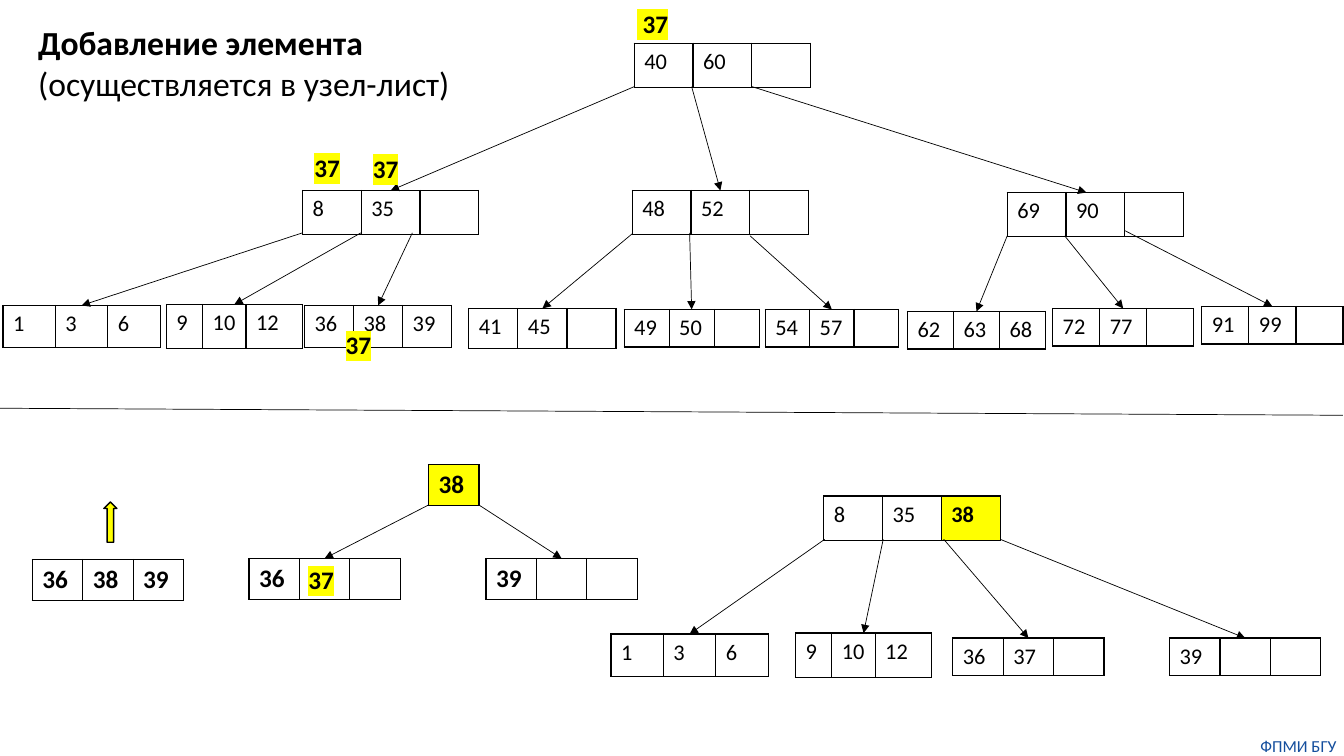
import pptx
import pptx.util
import pptx.dml.color
import pptx.enum.dml
import pptx.enum.shapes
import pptx.enum.text
import pptx.oxml
import pptx.oxml.ns
from lxml import etree

PX = 9144  # 100 px to the inch


class theme:
    font = "Calibri"
    ink = "000000"
    hot = "FFFF00"
    foot = "144E9D"
    title, mark, key, small = 24, 18, 16, 12
    thin, edge = 0.5, 1


qn = pptx.oxml.ns.qn
rgb = pptx.dml.color.RGBColor.from_string
Pt = pptx.util.Pt

deck = pptx.Presentation()
deck.slide_width, deck.slide_height = 1333 * PX, 750 * PX
slide = deck.slides.add_slide(deck.slide_layouts[6])
shapes = slide.shapes


def write(para, text, size, bold=False, color=theme.ink, glow=False):
    run = para.add_run()
    run.text = text
    run.font.size = Pt(size)
    run.font.bold = bold
    run.font.color.rgb = rgb(color)
    run.font.name = theme.font
    if glow:
        light = etree.Element(qn("a:highlight"))
        etree.SubElement(light, qn("a:srgbClr"), val=theme.hot)
        run.font.fill  # the highlight follows the fill, before the typeface
        run._r.rPr.find(qn("a:latin")).addprevious(light)


def link(start, end, arrow=True):
    line = shapes.add_connector(
        pptx.enum.shapes.MSO_CONNECTOR.STRAIGHT, *[int(v * PX) for v in (*start, *end)])
    line.line.color.rgb = rgb(theme.ink)
    line.line.width = Pt(theme.thin)
    if arrow:
        etree.SubElement(line.line._get_or_add_ln(), qn("a:tailEnd"), type="triangle")
    etree.SubElement(line._element.spPr, qn("a:effectLst"))


# Tree nodes: name, left, top, width (or column widths), height, keys, size, bold, hot cell
KEY, MARK = theme.key, theme.mark
nodes = [
    ("root", 629, 43, 175, 44, ("40", "60", ""), KEY, False, None),
    ("low", 300, 189, 175, 44, ("8", "35", ""), KEY, False, None),
    ("mid", 627, 189, 175, 44, ("48", "52", ""), KEY, False, None),
    ("high", 999, 191, 175, 44, ("69", "90", ""), KEY, False, None),
    ("1", 3, 303, 156, 42, ("1", "3", "6"), KEY, False, None),
    ("9", 165, 302, (36, 43, 56), 44, ("9", "10", "12"), KEY, False, None),
    ("36", 302, 303, 146, 42, ("36", "38", "39"), KEY, False, None),
    ("41", 465, 306, 146, 40, ("41", "45", ""), KEY, False, None),
    ("49", 619, 307, 134, 37, ("49", "50", ""), KEY, False, None),
    ("54", 759, 307, 132, 37, ("54", "57", ""), KEY, False, None),
    ("62", 900, 309, 137, 37, ("62", "63", "68"), KEY, False, None),
    ("72", 1044, 306, 140, 37, ("72", "77", ""), KEY, False, None),
    ("91", 1192, 304, 140, 37, ("91", "99", ""), KEY, False, None),
    ("full", 32, 555, 150, 40, ("36", "38", "39"), MARK, True, None),
    ("right", 482, 554, 150, 40, ("39", "", ""), MARK, True, None),
    ("left", 247, 554, 150, 40, ("36", "", ""), MARK, True, None),
    ("up", 425, 461, 50, 40, ("38",), MARK, True, 0),
    ("new 39", 1160, 633, 150, 37, ("39", "", ""), KEY, False, None),
    ("new 36", 945, 633, 150, 37, ("36", "37", ""), KEY, False, None),
    ("new low", 817, 492, 175, 44, ("8", "35", "38"), KEY, False, 2),
    ("new 9", 789, 628, (36, 43, 56), 44, ("9", "10", "12"), KEY, False, None),
    ("new 1", 606, 629, 156, 42, ("1", "3", "6"), KEY, False, None),
]
tops = {}  # top centre of each node
for name, left, top, wide, high, keys, size, bold, hot in nodes:
    cols = wide if isinstance(wide, tuple) else [wide / len(keys)] * len(keys)
    tops[name] = (left + sum(cols) / 2, top)
    frame = shapes.add_table(1, len(keys), left * PX, top * PX, int(sum(cols) * PX), high * PX)
    table = frame.table
    table.first_row = table.horz_banding = False
    table.rows[0].height = high * PX
    for i, key in enumerate(keys):
        table.columns[i].width = int(cols[i] * PX)
        cell = table.cell(0, i)
        para = cell.text_frame.paragraphs[0]
        if key:
            write(para, key, size, bold or i == hot)
        else:
            etree.SubElement(para._p, qn("a:endParaRPr"), sz=str(size * 100))
        if i == hot:
            cell.fill.solid()
            cell.fill.fore_color.rgb = rgb(theme.hot)
        else:
            cell.fill.background()
        for j, side in enumerate(("lnL", "lnR", "lnT", "lnB")):
            edge = etree.Element(qn("a:" + side), w=str(Pt(theme.edge)))
            fill = etree.SubElement(edge, qn("a:solidFill"))
            etree.SubElement(fill, qn("a:srgbClr"), val=theme.ink)
            cell._tc.get_or_add_tcPr().insert(j, edge)

# Arrows: start, child node, shift from its top centre
for x, y, child, shift in [
    (629, 86, "low", 0), (686, 86, "mid", 0), (746, 86, "high", -9),
    (300, 231, "1", 0), (358, 231, "9", 0), (409, 231, "36", 0),
    (627, 232, "41", 0), (684, 231, "49", 0), (744, 234, "54", 0),
    (999, 234, "62", 0), (1056, 234, "72", 0), (1116, 229, "91", 0),
    (425, 501, "left", 0), (475, 501, "right", 0),
    (818, 535, "new 1", 0), (876, 535, "new 9", 0),
    (936, 535, "new 36", 0), (992, 535, "new 39", 0),
]:
    link((x, y), (tops[child][0] + shift, tops[child][1]))

# Line between the two steps
link((0, 405), (1332, 412), arrow=False)

# Arrow above the split node
rise = shapes.add_shape(
    pptx.enum.shapes.MSO_SHAPE.UP_ARROW, 103 * PX, 498 * PX, 13 * PX, 40 * PX)
rise.shadow.inherit = False
rise.fill.solid()
rise.fill.fore_color.rgb = rgb(theme.hot)
rise.line.color.rgb = rgb(theme.ink)
rise.line.width = Pt(theme.edge)

# Title
box = shapes.add_textbox(28 * PX, 17 * PX, 491 * PX, 91 * PX)
box.text_frame.word_wrap = True
para = box.text_frame.paragraphs[0]
write(para, "Добавление элемента ", theme.title, True)
write(para, "(осуществляется в узел-лист)", theme.title)

# Path of the inserted key
for text, x, y, wide in [
    (" 37", 622, 3, 52), ("37", 302, 146, 46), ("37", 360, 147, 46),
    ("37", 333, 322, 46), ("37", 296, 555, 46),
]:
    box = shapes.add_textbox(x * PX, y * PX, wide * PX, 40 * PX)
    box.text_frame.word_wrap = False
    write(box.text_frame.paragraphs[0], text, theme.mark, True, glow=True)

# Footer
box = shapes.add_textbox(1243 * PX, 730 * PX, 90 * PX, 20 * PX)
text = box.text_frame
text.word_wrap = True
text.margin_left = text.margin_right = text.margin_top = text.margin_bottom = 0
text.paragraphs[0].alignment = pptx.enum.text.PP_ALIGN.CENTER
write(text.paragraphs[0], "ФПМИ БГУ", theme.small, color=theme.foot)

deck.save("out.pptx")
